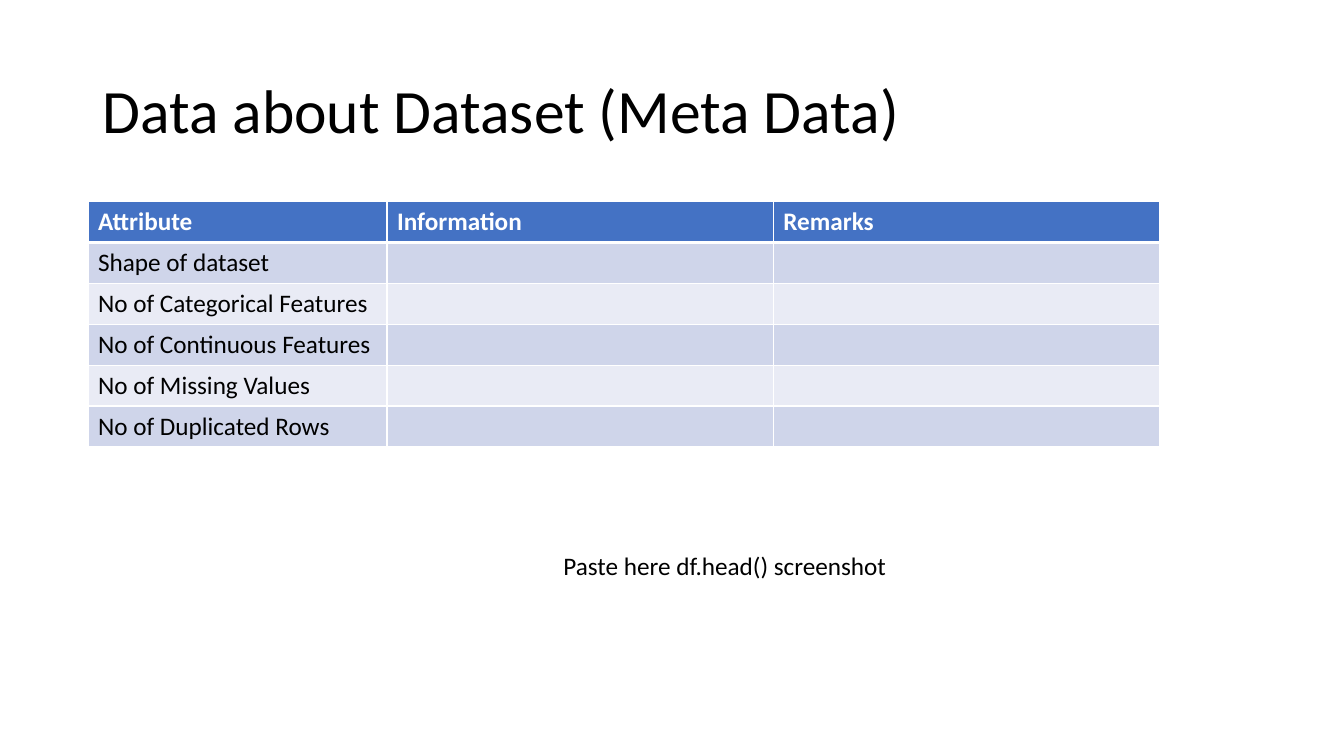
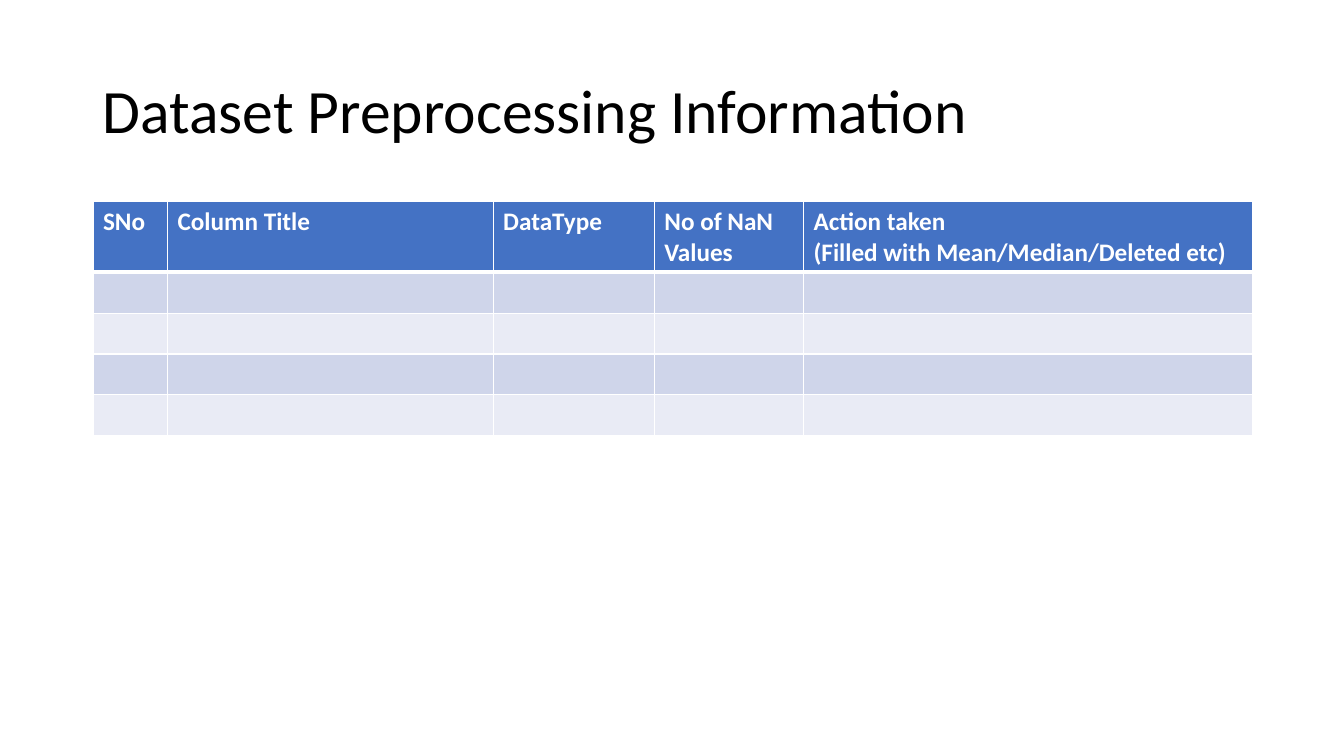
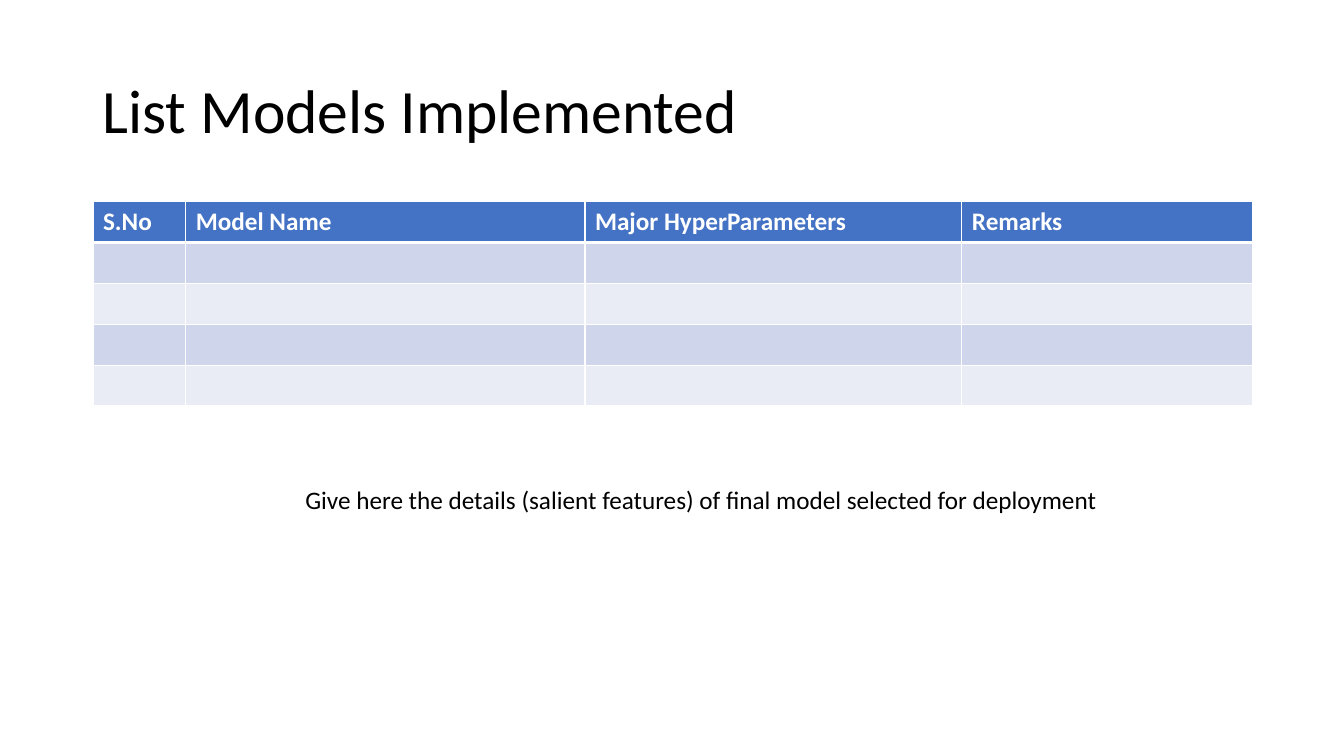
from dataclasses import dataclass
from typing import Optional

import lxml.etree
import pptx
import pptx.dml.color
import pptx.enum.text
import pptx.oxml.ns
import pptx.slide
import pptx.table
import pptx.text.text
import pptx.util

SLIDE_WIDTH = pptx.util.Inches(13.33)
SLIDE_HEIGHT = pptx.util.Inches(7.5)
FONT = "Calibri"
COLORS = {
    "text": "000000",
    "header": "4472C4",
    "odd_row": "CFD5EA",
    "even_row": "E9EBF5",
    "white": "FFFFFF",
}
TITLE_SIZE = 44
BODY_SIZE = 18
TABLE_TOP = 26.67
ROW_HEIGHT = 5.41
THIN_LINE = 1
HEADER_RULE = 3


@dataclass(frozen=True)
class Box:
    """A place on the slide, in percent of its width and height."""

    left: float
    top: float
    width: float
    height: float


@dataclass(frozen=True)
class Column:
    """A table column; its width is a percentage of the table's width."""

    heading: str
    share: float


@dataclass(frozen=True)
class Note:
    text: str
    box: Box


@dataclass(frozen=True)
class TableSlide:
    title: str
    columns: list[Column]
    row_labels: list[str]
    left: float = 6.92
    width: float = 86.25
    note: Optional[Note] = None


TITLE_BOX = Box(6.88, 5.33, 86.25, 19.33)
BLANK_ROWS = [""] * 4

SLIDES = [
    TableSlide(
        title="Data about Dataset (Meta Data)",
        columns=[
            Column("Attribute", 27.9),
            Column("Information", 36.05),
            Column("Remarks", 36.05),
        ],
        row_labels=[
            "Shape of dataset",
            "No of Categorical Features",
            "No of Continuous Features",
            "No of Missing Values",
            "No of Duplicated Rows",
        ],
        left=6.55,
        width=79.74,
        note=Note("Paste here df.head() screenshot", Box(41.18, 72.13, 26.26, 5.33)),
    ),
    TableSlide(
        title="Dataset Preprocessing Information",
        columns=[
            Column("SNo", 6.43),
            Column("Column Title", 28.09),
            Column("DataType", 13.91),
            Column("No of NaN Values", 12.87),
            Column("Action taken\n(Filled with Mean/Median/Deleted etc)", 38.7),
        ],
        row_labels=BLANK_ROWS,
    ),
    TableSlide(
        title="List Models Implemented",
        columns=[
            Column("S.No", 8),
            Column("Model Name", 34.44),
            Column("Major HyperParameters", 32.52),
            Column("Remarks", 25.04),
        ],
        row_labels=BLANK_ROWS,
        note=Note(
            "Give here the details (salient features) of final model selected for deployment",
            Box(21.98, 63.47, 61.14, 5.33),
        ),
    ),
]


def across(percent: float) -> int:
    return round(SLIDE_WIDTH * percent / 100)


def down(percent: float) -> int:
    return round(SLIDE_HEIGHT * percent / 100)


def write_text(
    text_frame: pptx.text.text.TextFrame,
    text: str,
    size: float = BODY_SIZE,
    color: str = "text",
    bold: bool = False,
) -> None:
    text_frame.text = text
    for paragraph in text_frame.paragraphs:
        for run in paragraph.runs:
            run.font.name = FONT
            run.font.size = pptx.util.Pt(size)
            run.font.bold = bold
            run.font.color.rgb = pptx.dml.color.RGBColor.from_string(COLORS[color])


def add_text_frame(slide: pptx.slide.Slide, box: Box) -> pptx.text.text.TextFrame:
    shape = slide.shapes.add_textbox(
        across(box.left), down(box.top), across(box.width), down(box.height)
    )
    return shape.text_frame


def add_title(slide: pptx.slide.Slide, title: str) -> None:
    text_frame = add_text_frame(slide, TITLE_BOX)
    text_frame.word_wrap = True
    text_frame.vertical_anchor = pptx.enum.text.MSO_ANCHOR.MIDDLE
    write_text(text_frame, title, TITLE_SIZE)
    text_frame.paragraphs[0].line_spacing = 0.9


def add_note(slide: pptx.slide.Slide, note: Note) -> None:
    text_frame = add_text_frame(slide, note.box)
    text_frame.word_wrap = False
    text_frame.auto_size = pptx.enum.text.MSO_AUTO_SIZE.SHAPE_TO_FIT_TEXT
    write_text(text_frame, note.text)


def set_borders(cell: pptx.table._Cell, top: float, bottom: float) -> None:
    """Draw white cell edges; call before the fill, which must follow them."""
    properties = cell._tc.get_or_add_tcPr()
    qualified = pptx.oxml.ns.qn
    edges = {"lnL": THIN_LINE, "lnR": THIN_LINE, "lnT": top, "lnB": bottom}
    for edge, width in edges.items():
        line = lxml.etree.SubElement(
            properties, qualified(f"a:{edge}"), w=str(pptx.util.Pt(width))
        )
        fill = lxml.etree.SubElement(line, qualified("a:solidFill"))
        lxml.etree.SubElement(fill, qualified("a:srgbClr"), val=COLORS["white"])


def style_cell(cell: pptx.table._Cell, row_index: int) -> None:
    if row_index == 0:
        color = "header"
    else:
        color = "odd_row" if row_index % 2 else "even_row"
    set_borders(
        cell,
        top=HEADER_RULE if row_index == 1 else THIN_LINE,
        bottom=HEADER_RULE if row_index == 0 else THIN_LINE,
    )
    cell.fill.solid()
    cell.fill.fore_color.rgb = pptx.dml.color.RGBColor.from_string(COLORS[color])


def add_data_table(slide: pptx.slide.Slide, content: TableSlide) -> None:
    row_count = len(content.row_labels) + 1
    table = slide.shapes.add_table(
        row_count,
        len(content.columns),
        across(content.left),
        down(TABLE_TOP),
        across(content.width),
        down(ROW_HEIGHT * row_count),
    ).table
    for row_index, row in enumerate(table.rows):
        row.height = down(ROW_HEIGHT)
        for cell in row.cells:
            style_cell(cell, row_index)
    for column_index, column in enumerate(content.columns):
        table.columns[column_index].width = across(content.width * column.share / 100)
        write_text(
            table.cell(0, column_index).text_frame,
            column.heading,
            color="white",
            bold=True,
        )
    for row_index, label in enumerate(content.row_labels, start=1):
        if label:
            write_text(table.cell(row_index, 0).text_frame, label)


def main() -> None:
    presentation = pptx.Presentation()
    presentation.slide_width = SLIDE_WIDTH
    presentation.slide_height = SLIDE_HEIGHT
    blank_layout = presentation.slide_layouts[6]
    for content in SLIDES:
        slide = presentation.slides.add_slide(blank_layout)
        add_title(slide, content.title)
        add_data_table(slide, content)
        if content.note:
            add_note(slide, content.note)
    presentation.save("out.pptx")


if __name__ == "__main__":
    main()
